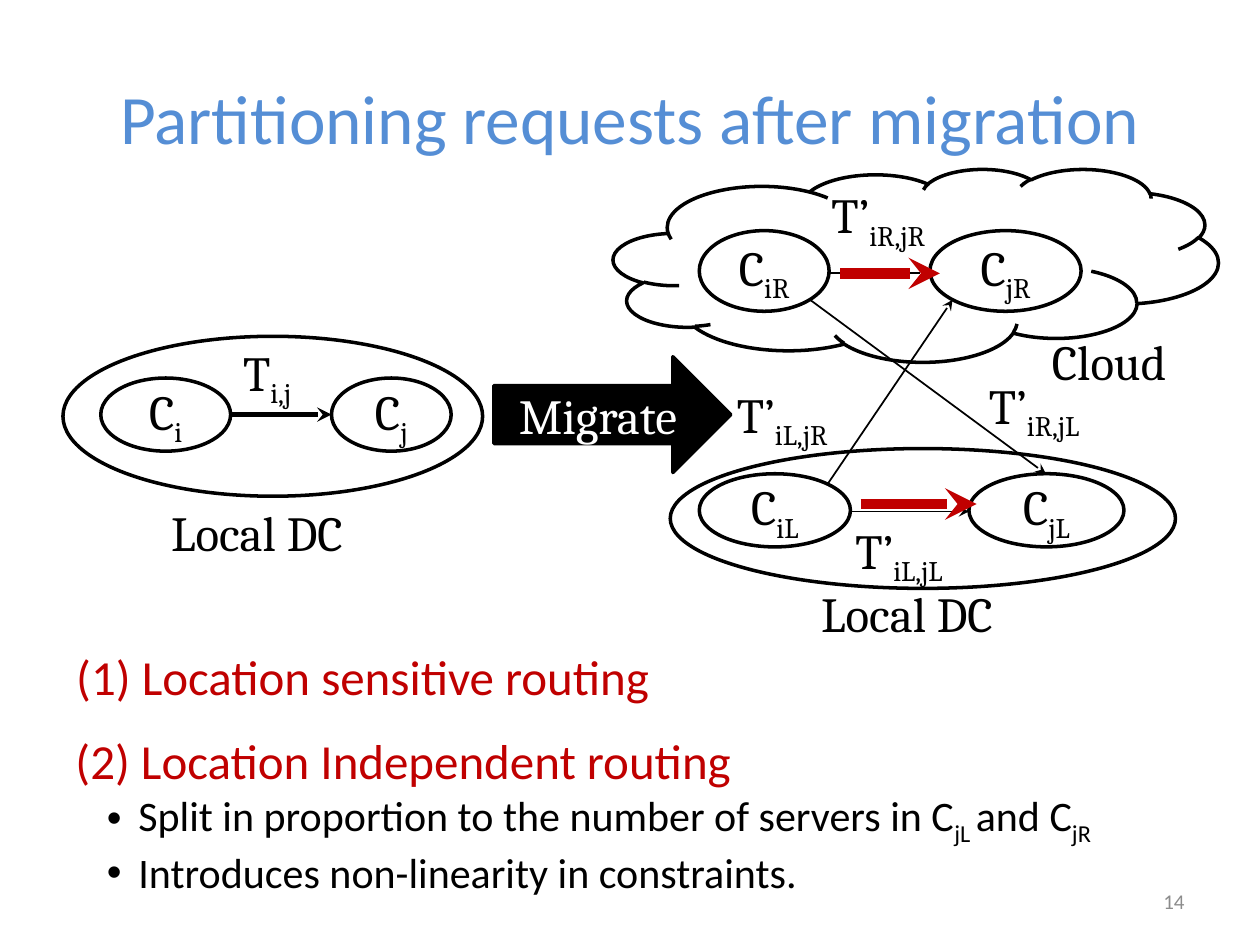
from lxml import etree
from pptx import Presentation
from pptx import util as u
from pptx.dml.color import RGBColor
from pptx.enum import shapes, text
from pptx.oxml import ns

BLACK, WHITE, RED = "000000", "FFFFFF", "C00000"
LEFT, MID, RIGHT = text.PP_ALIGN.LEFT, text.PP_ALIGN.CENTER, text.PP_ALIGN.RIGHT
OVAL = shapes.MSO_SHAPE.OVAL


def paint(target, color):
    """Give a font, fill or line colour from a hex string."""
    target.rgb = RGBColor.from_string(color)


def sub(parent, tag, **attrs):
    """Append an XML element in the drawing namespace."""
    return etree.SubElement(parent, ns.qn("a:" + tag), attrs)


def write(para, words, size=28, font="Cambria", color=BLACK, align=LEFT):
    """Fill a paragraph; every second piece between underscores is a subscript."""
    para.alignment = align
    para.font.size = u.Pt(size)
    para.font.name = font
    paint(para.font.color, color)
    for i, piece in enumerate(words.split("_")):
        run = para.add_run()
        run.text = piece
        if i % 2:
            run.font._element.set("baseline", "-25000")


def bullet(para):
    """Indent a paragraph and give it a round bullet."""
    props = para._p.get_or_add_pPr()
    props.set("marL", str(u.Pt(36)))
    props.set("indent", str(-u.Pt(18)))
    mark = etree.Element(ns.qn("a:buChar"), char="•")
    face = etree.Element(ns.qn("a:buFont"), typeface="Arial")
    props.insert(0, face)
    face.addnext(mark)


def label(slide, box, words, wrap=False, **style):
    """Add a text box and return its frame."""
    frame = slide.shapes.add_textbox(*map(u.Pt, box)).text_frame
    frame.word_wrap = wrap
    frame.auto_size = text.MSO_AUTO_SIZE.SHAPE_TO_FIT_TEXT
    write(frame.paragraphs[0], words, **style)
    return frame


def shape(slide, kind, box, words="", fill=None, color=BLACK):
    """Add an outlined shape with optional fill and centred text."""
    item = slide.shapes.add_shape(kind, *map(u.Pt, box))
    item.shadow.inherit = False
    item.line.width = u.Pt(2)
    paint(item.line.color, BLACK)
    if fill:
        item.fill.solid()
        paint(item.fill.fore_color, fill)
    else:
        item.fill.background()
    if words:
        frame = item.text_frame
        frame.word_wrap = False
        frame.vertical_anchor = text.MSO_ANCHOR.MIDDLE
        write(frame.paragraphs[0], words, color=color, align=MID)


def arrow(slide, ends, width=1, color=BLACK):
    """Add a straight line with a stealth head at its end."""
    line = slide.shapes.add_connector(shapes.MSO_CONNECTOR.STRAIGHT, *map(u.Pt, ends))
    line.line.width = u.Pt(width)
    paint(line.line.color, color)
    sub(line.line._get_or_add_ln(), "tailEnd", type="stealth")
    sub(line._element.spPr, "effectLst")


def head(slide, words):
    """Place and fill the title."""
    title = slide.shapes.title
    title.left, title.top, title.width, title.height = map(u.Pt, (36, 21.6, 648, 90))
    title.text_frame.vertical_anchor = text.MSO_ANCHOR.MIDDLE
    write(title.text_frame.paragraphs[0], words, 39.6, "Calibri", "558ED5", MID)


def after(slide):
    """Draw the cloud and the local centre after migration."""
    nodes = (
        ("C_iL", (399.6, 270.7, 86.4, 41.8)),
        ("C_jL", (553.7, 270.7, 88.6, 41.8)),
        ("C_iR", (399.6, 131.8, 74.2, 46.1)),
        ("C_jR", (531.4, 131.8, 86.4, 46.1)),
    )
    for words, box in nodes:
        shape(slide, OVAL, box, words, WHITE)
    for ends in (
        (473, 276.5, 544.3, 171.4),
        (463, 171.4, 597.6, 270.7),
        (486, 292.3, 553.7, 292.3),
        (473.8, 156.2, 531.4, 156.2),
    ):
        arrow(slide, ends)
    for words, x, y, wide in (
        ("T’_iR,jL", 558, 211, 78.5),
        ("T’_iL,jR", 414, 216, 78.5),
        ("T’_iL,jL", 481.7, 293.8, 77),
        ("T’_iR,jR", 468, 102.2, 79.2),
        ("Cloud", 594, 185.8, 92.9),
        ("Local DC", 462.2, 329.8, 131),
    ):
        label(slide, (x, y, wide, 41), words)
    shape(slide, shapes.MSO_SHAPE.CLOUD, (350.6, 96.5, 345.6, 110.2))
    shape(slide, OVAL, (383, 256.3, 288.7, 79.9))


def before(slide):
    """Draw the local centre before migration."""
    shape(slide, OVAL, (57.6, 216, 74.2, 41.8), "C_i", WHITE)
    shape(slide, OVAL, (189.4, 216, 68.4, 41.8), "C_j", WHITE)
    arrow(slide, (131.8, 236.9, 189.4, 236.9), 2.75)
    label(slide, (131.8, 192.2, 46.1, 41), "T_i,j")
    label(slide, (90.7, 283.7, 131, 41), "Local DC")
    shape(slide, OVAL, (36, 192.2, 239.8, 91.4))


def notes(slide):
    """Write the two routing choices."""
    style = dict(wrap=True, font="Calibri", color=RED)
    label(slide, (30.2, 365.8, 660.2, 41), " (1) Location sensitive routing", **style)
    frame = label(slide, (36, 414, 678.2, 99.4), "(2) Location Independent routing", **style)
    for words in (
        "Split in proportion to the number of servers in C_jL _and C_jR",
        "Introduces non-linearity in constraints.",
    ):
        para = frame.add_paragraph()
        write(para, words, 24, "Calibri")
        para.level = 1
        bullet(para)


def main():
    """Build the slide and save it."""
    deck = Presentation()
    deck.slide_width, deck.slide_height = u.Pt(720), u.Pt(540)
    slide = deck.slides.add_slide(deck.slide_layouts[5])
    head(slide, "Partitioning requests after migration")
    shape(slide, shapes.MSO_SHAPE.RIGHT_ARROW, (282.2, 203.8, 135.4, 66.2),
          "Migrate", BLACK, WHITE)
    after(slide)
    before(slide)
    notes(slide)
    page = label(slide, (516.2, 500.4, 167.8, 28.8), "14", wrap=True, size=12,
                 font="Calibri", color="8C8C8C", align=RIGHT)
    page.auto_size = text.MSO_AUTO_SIZE.NONE
    page.vertical_anchor = text.MSO_ANCHOR.MIDDLE
    for ends in ((480.2, 156.2, 537.1, 156.2), (491.8, 288, 558, 288)):
        arrow(slide, ends, 6, RED)
    deck.save("out.pptx")


main()
